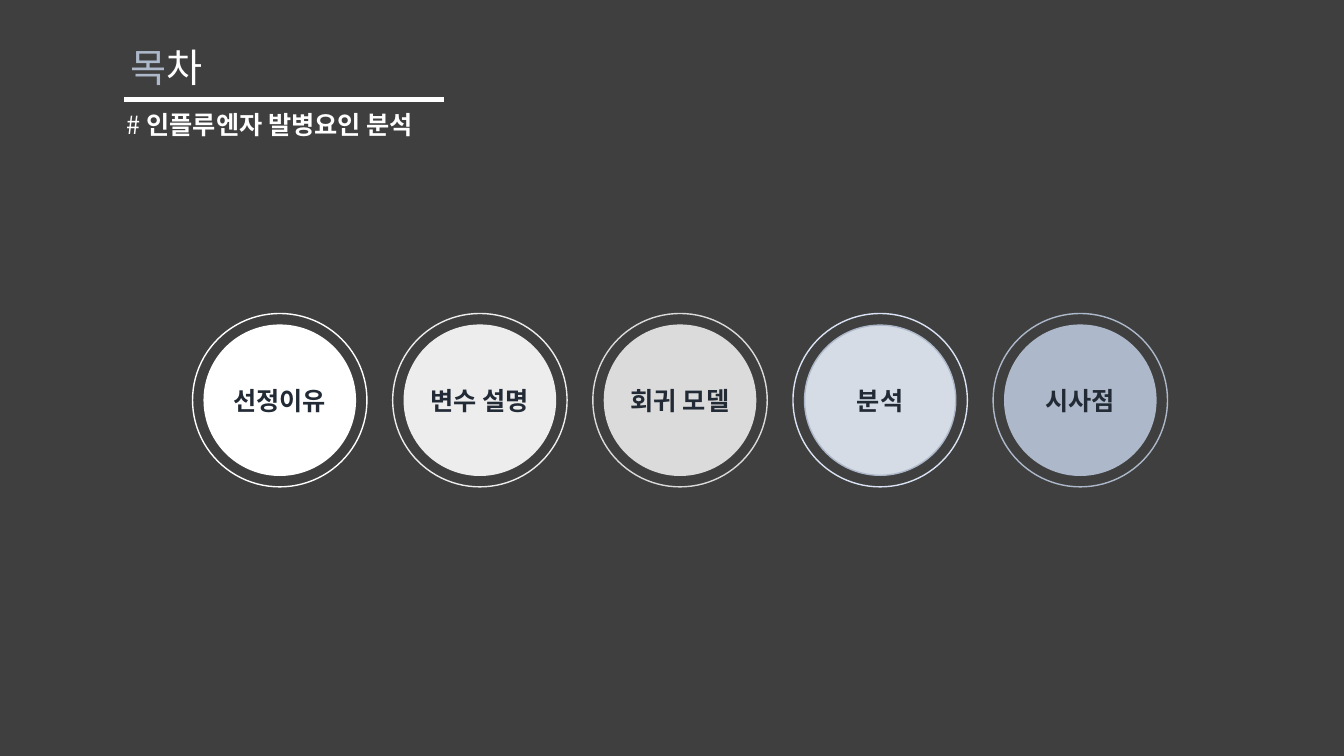
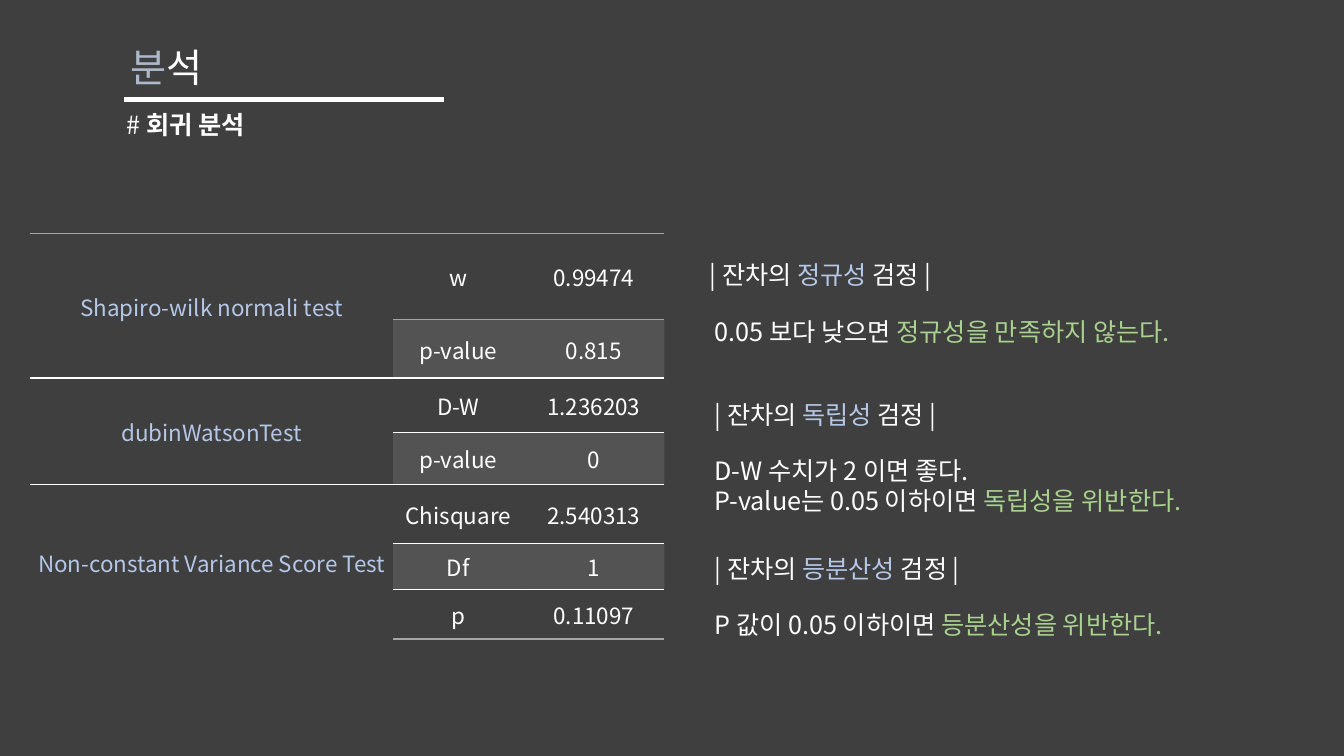
from dataclasses import dataclass

from lxml import etree
from pptx import Presentation
from pptx.dml.color import RGBColor
from pptx.enum.shapes import MSO_CONNECTOR, MSO_SHAPE
from pptx.enum.text import MSO_ANCHOR, MSO_AUTO_SIZE, PP_ALIGN
from pptx.oxml import parse_xml
from pptx.oxml.ns import nsdecls, qn
from pptx.util import Inches, Pt

OVAL = MSO_SHAPE.OVAL
LINE = MSO_CONNECTOR.STRAIGHT
MIDDLE = MSO_ANCHOR.MIDDLE
CENTER = PP_ALIGN.CENTER
GROW = MSO_AUTO_SIZE.SHAPE_TO_FIT_TEXT


@dataclass(frozen=True)
class Theme:
    font: str = "Noto Sans CJK KR"
    back: str = "3F3F3F"
    white: str = "FFFFFF"
    steel: str = "ADB9CA"
    navy: str = "222A35"
    blue: str = "B4C7E7"
    green: str = "A9D18E"
    gray: str = "A5A5A5"
    title: int = 28
    body: int = 18
    cell: int = 16


T = Theme()
rgb = RGBColor.from_string


def write(para, text, color=T.white, size=T.body, bold=False, align=None):
    """Add one run to a paragraph."""
    if align is not None:
        para.alignment = align
    run = para.add_run()
    run.text = text
    font = run.font
    font.name, font.size, font.bold = T.font, Pt(size), bold
    font.color.rgb = rgb(color)
    east = etree.SubElement(run._r.get_or_add_rPr(), qn("a:ea"))
    east.set("typeface", T.font)


def add_box(slide, x, y, w, h, lines):
    """Add a text box; each line is a list of (text, format) runs."""
    box = slide.shapes.add_textbox(Inches(x), Inches(y), Inches(w), Inches(h))
    frame = box.text_frame
    frame.word_wrap = True
    frame.auto_size = GROW
    for i, runs in enumerate(lines):
        para = frame.add_paragraph() if i else frame.paragraphs[0]
        for text, form in runs:
            write(para, text, **form)


prs = Presentation()
prs.slide_width, prs.slide_height = Inches(13.33), Inches(7.5)

# Shared background and heading
heads = [("목", "차", "인플루엔자 발병요인 분석"), ("분", "석", "회귀 분석")]
slides = []
for first, rest, topic in heads:
    slide = prs.slides.add_slide(prs.slide_layouts[6])
    slide.background.fill.solid()
    slide.background.fill.fore_color.rgb = rgb(T.back)
    add_box(slide, 1.2, 0.38, 3.83, 0.57,
            [[(first, {"color": T.steel, "size": T.title}),
              (rest, {"size": T.title})]])
    rule = slide.shapes.add_connector(
        LINE, Inches(1.23), Inches(0.99), Inches(4.4), Inches(0.99))
    rule.line.color.rgb = rgb(T.white)
    rule.line.width = Pt(3.75)
    etree.SubElement(rule._element.spPr, qn("a:effectLst"))
    add_box(slide, 1.16, 1.04, 5.83, 0.4,
            [[("#", {}), (" " + topic, {"bold": True})]])
    slides.append(slide)
agenda, tests = slides

# Agenda circles: label, ring line, disc fill, disc line
steps = [
    ("선정이유", T.white, T.white, T.white),
    ("변수 설명", "EDEDED", "EDEDED", "EDEDED"),
    ("회귀 모델", "DBDBDB", "DBDBDB", "DBDBDB"),
    ("분석", "DAE3F3", "D6DCE5", T.steel),
    ("시사점", T.steel, T.steel, T.steel),
]
for i, (label, ring, fill, edge) in enumerate(steps):
    left = 1.91 + i * 1.985
    for inset, wide, high, paint, line in [
            (0, 1.73, 1.72, None, ring), (0.115, 1.5, 1.49, fill, edge)]:
        disc = agenda.shapes.add_shape(
            OVAL, Inches(left + inset), Inches(3.11 + inset),
            Inches(wide), Inches(high))
        disc.shadow.inherit = False
        disc.line.color.rgb = rgb(line)
        disc.line.width = Pt(1)
        if paint:
            disc.fill.solid()
            disc.fill.fore_color.rgb = rgb(paint)
        else:
            disc.fill.background()
    frame = disc.text_frame
    frame.word_wrap = False
    frame.vertical_anchor = MIDDLE
    write(frame.paragraphs[0], label, color=T.navy, bold=True, align=CENTER)

# Test table: name, then (statistic, value) rows
groups = [
    ("Shapiro-wilk normali test", [("w", "0.99474"), ("p-value", "0.815")]),
    ("dubinWatsonTest", [("D-W", "1.236203"), ("p-value", "0")]),
    ("Non-constant Variance Score Test",
     [("Chisquare", "2.540313"), ("Df", "1"), ("p", "0.11097")]),
]
widths = [3.6, 1.29, 1.4]
heights = [0.85, 0.58, 0.54, 0.52, 0.58, 0.46, 0.49]
# Line colours above the first row and below each row
rules = [T.gray, T.gray, T.white, T.white, T.white, T.white, None, T.gray]
shape = tests.shapes.add_table(
    len(heights), len(widths), Inches(0.3), Inches(2.32),
    Inches(sum(widths)), Inches(sum(heights)))
table = shape.table
table.first_row = table.horz_banding = False
style = table._tbl.tblPr.find(qn("a:tableStyleId"))
style.text = "{2D5ABB26-0587-4C30-8999-92F81FD0307C}"
for col, wide in zip(table.columns, widths):
    col.width = Inches(wide)
for row, high in zip(table.rows, heights):
    row.height = Inches(high)

grid, ends, top = [], {0}, 0
for name, rows in groups:
    table.cell(top, 0).merge(table.cell(top + len(rows) - 1, 0))
    for i, pair in enumerate(rows):
        grid.append(("" if i else name, *pair, i == 1))
    top += len(rows)
    ends.add(top)

for r, (*texts, shade) in enumerate(grid):
    for c, text in enumerate(texts):
        cell = table.cell(r, c)
        cell.vertical_anchor = MIDDLE
        cell.margin_left = cell.margin_right = cell.margin_top = Inches(0.01)
        cell.margin_bottom = 0
        if text:
            write(cell.text_frame.paragraphs[0], text, size=T.cell,
                  color=T.white if c else T.blue, align=CENTER)
        props = cell._tc.get_or_add_tcPr()
        if shade and c:
            cell.fill.solid()
            cell.fill.fore_color.rgb = rgb(T.gray)
            tint = props.find(".//" + qn("a:srgbClr"))
            etree.SubElement(tint, qn("a:alpha")).set("val", "20000")
        else:
            cell.fill.background()
        for tag, edge in (("lnB", r + 1), ("lnT", r)):
            if rules[edge] and (c or edge in ends):
                props.insert(0, parse_xml(
                    f'<a:{tag} {nsdecls("a")} w="12700"><a:solidFill>'
                    f'<a:srgbClr val="{rules[edge]}"/></a:solidFill>'
                    f'</a:{tag}>'))

# Criteria beside the table
for x, y, trait in [(6.94, 2.52, "정규성"), (6.99, 3.91, "독립성"),
                    (6.99, 5.44, "등분산성")]:
    add_box(tests, x, y, 3.09, 0.4,
            [[("| 잔차의 ", {}), (trait, {"color": T.blue}), (" 검정 |", {})]])

good = {"color": T.green}
notes = [
    (3.09, 0.4, [[("0.05 보다 낮으면 ", {}),
                  ("정규성을 만족하지 않는다.", good)]]),
    (4.47, 0.71, [[("D-W 수치가 2 이면 좋다.", {})],
                  [("P-value는 0.05 이하이면 ", {}),
                   ("독립성을 위반한다.", good)]]),
    (6, 0.4, [[("P 값이 0.05 이하이면 ", {}),
               ("등분산성을 위반한다.", good)]]),
]
for y, high, lines in notes:
    add_box(tests, 6.99, y, 5.13, high, lines)

prs.save("out.pptx")
